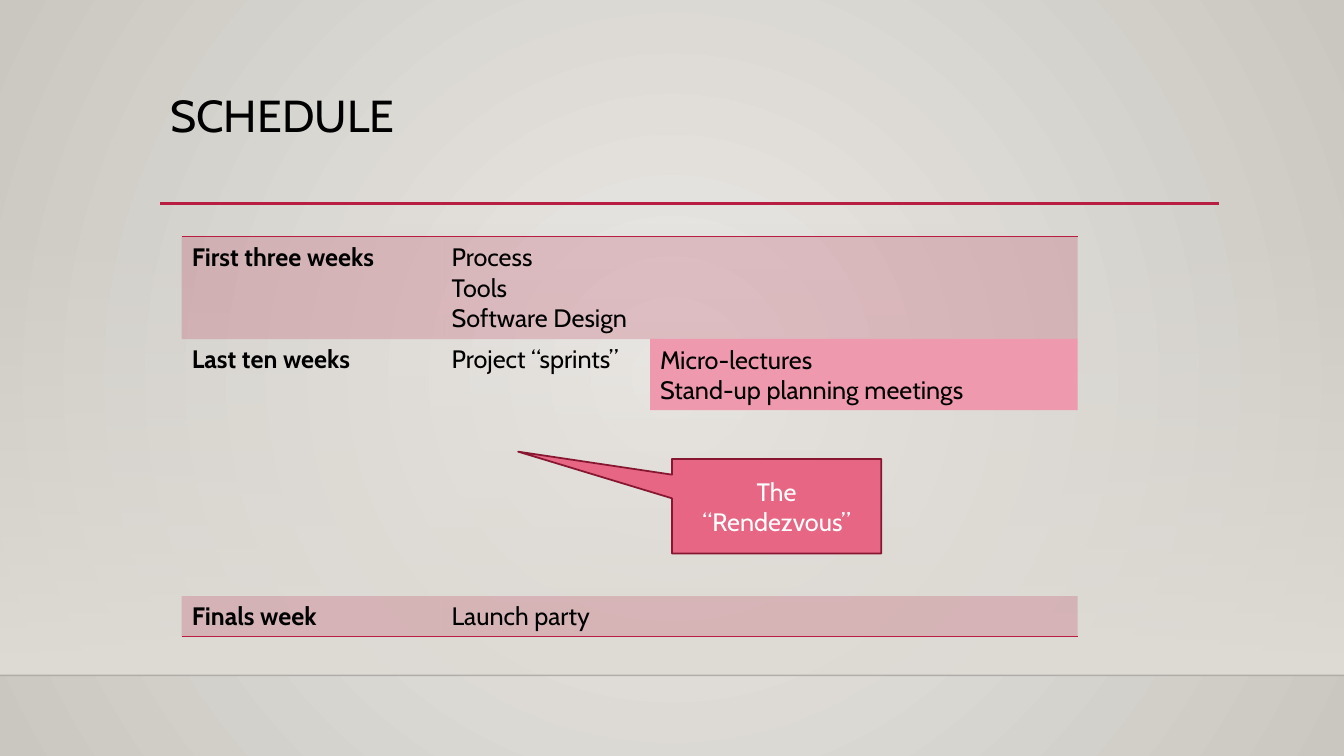
from dataclasses import dataclass

from lxml.etree import SubElement
from pptx import Presentation
from pptx.dml.color import RGBColor
from pptx.enum.shapes import MSO_CONNECTOR as Connector, MSO_SHAPE as Shape
from pptx.enum.text import MSO_ANCHOR as Anchor, PP_ALIGN as Align
from pptx.oxml.ns import qn
from pptx.util import Pt

# Content
TITLE = "SCHEDULE"
SCHEDULE = [
    # period, activities, row height, shaded
    ("First three weeks", "Process\nTools\nSoftware Design", 73, True),
    ("Last ten weeks", "Project “sprints”", 183.6, False),
    ("Finals week", "Launch party", 29, True),
]
MEETINGS = "Micro-lectures\nStand-up planning meetings"
CALLOUT = "The “Rendezvous”"

# Layout, in points
WIDTH, HEIGHT = 960, 540
FLOOR_TOP, FLOOR_LINE = 159, 482.4
TITLE_BOX = (114.5, 63.4, 756, 82.6)
RULE = (114.5, 145.3, 871, 145.3)
TABLE_LEFT, TABLE_TOP = 129.8, 169.2
COLUMNS = (185.6, 454.4)
MEETINGS_BOX = (464.4, 242.1, 305.4, 50.9)
CALLOUT_BOX = (480, 327.8, 149.5, 67.5)
CALLOUT_TIP = (-1.235, -0.577)
NO_TABLE_STYLE = "{2D5ABB26-0587-4C30-8999-92F81FD0307C}"


@dataclass(frozen=True)
class Theme:
    font: str = "Cabin"
    title_size: int = 32
    body_size: int = 18
    text: str = "000000"
    light_text: str = "FFFFFF"
    accent: str = "B71E42"
    callout: str = "E66684"
    callout_line: str = "871631"
    meetings: str = "EE99AD"
    center: str = "ECEAE7"
    edge: str = "CAC7C1"
    wall: str = "DFDBD5"
    floor_line: str = "000001"


THEME = Theme()


def points(values):
    return [Pt(value) for value in values]


def set_alpha(parent, percent):
    color = next(parent.iter(qn("a:srgbClr")))
    SubElement(color, qn("a:alpha"), val=str(percent * 1000))


def set_gradient(fill, *colors):
    fill.gradient()
    for stop, color in zip(fill.gradient_stops, colors):
        stop.color.rgb = RGBColor.from_string(color)


def write(text_frame, text, size=THEME.body_size, color=THEME.text, bold=False):
    text_frame.word_wrap = True
    text_frame.text = text
    for paragraph in text_frame.paragraphs:
        for run in paragraph.runs:
            run.font.name = THEME.font
            run.font.size = Pt(size)
            run.font.bold = bold
            run.font.color.rgb = RGBColor.from_string(color)


def add_line(slide, ends, color, width):
    line = slide.shapes.add_connector(Connector.STRAIGHT, *points(ends))
    line.line.color.rgb = RGBColor.from_string(color)
    line.line.width = Pt(width)
    SubElement(line._element.spPr, qn("a:effectLst"))
    return line


def add_box(slide, kind, box, color, line_color=None):
    shape = slide.shapes.add_shape(kind, *points(box))
    shape.shadow.inherit = False
    shape.fill.solid()
    shape.fill.fore_color.rgb = RGBColor.from_string(color)
    if line_color:
        shape.line.color.rgb = RGBColor.from_string(line_color)
        shape.line.width = Pt(1.25)
    else:
        shape.line.fill.background()
    return shape


def add_cell_border(cell, side):
    properties = cell._tc.get_or_add_tcPr()
    border = SubElement(properties, qn(f"a:{side}"), w=str(Pt(1)))
    SubElement(SubElement(border, qn("a:solidFill")), qn("a:srgbClr"), val=THEME.accent)
    properties.insert(0, border)


def add_background(slide):
    # Radial backdrop
    set_gradient(slide.background.fill, THEME.center, THEME.edge)
    gradient = next(slide.element.iter(qn("a:gradFill")))
    gradient.remove(gradient.find(qn("a:lin")))
    radial = SubElement(gradient, qn("a:path"), path="circle")
    SubElement(radial, qn("a:fillToRect"), l="50000", t="50000", r="50000", b="50000")

    # Wall fading in towards the floor
    wall_box = (0, FLOOR_TOP, WIDTH, FLOOR_LINE - FLOOR_TOP)
    wall = add_box(slide, Shape.RECTANGLE, wall_box, THEME.wall)
    set_gradient(wall.fill, THEME.wall, THEME.wall)
    wall.fill.gradient_angle = 270
    set_alpha(wall._element.spPr, 0)
    floor = add_line(slide, (0, FLOOR_LINE, WIDTH, FLOOR_LINE), THEME.floor_line, 1)
    set_alpha(floor._element.spPr, 20)


def add_schedule(slide):
    heights = [row[2] for row in SCHEDULE]
    frame = slide.shapes.add_table(
        len(SCHEDULE), len(COLUMNS),
        *points((TABLE_LEFT, TABLE_TOP, sum(COLUMNS), sum(heights))))
    table = frame.table
    table.first_row = table.horz_banding = False
    table._tbl.tblPr.find(qn("a:tableStyleId")).text = NO_TABLE_STYLE
    for column, width in zip(table.columns, COLUMNS):
        column.width = Pt(width)
    for row, (period, activities, height, shaded) in zip(table.rows, SCHEDULE):
        row.height = Pt(height)
        for index, text in enumerate((period, activities)):
            cell = row.cells[index]
            write(cell.text_frame, text, bold=index == 0)
            if shaded:
                cell.fill.solid()
                cell.fill.fore_color.rgb = RGBColor.from_string(THEME.accent)
                set_alpha(cell._tc.tcPr, 20)
            else:
                cell.fill.background()
    for index in range(len(COLUMNS)):
        add_cell_border(table.cell(0, index), "lnT")
        add_cell_border(table.cell(len(SCHEDULE) - 1, index), "lnB")


def main():
    presentation = Presentation()
    presentation.slide_width, presentation.slide_height = Pt(WIDTH), Pt(HEIGHT)
    slide = presentation.slides.add_slide(presentation.slide_layouts[6])
    add_background(slide)

    # Title and rule
    add_line(slide, RULE, THEME.accent, 2.5)
    title = slide.shapes.add_textbox(*points(TITLE_BOX))
    write(title.text_frame, TITLE, THEME.title_size)
    title.text_frame.paragraphs[0].line_spacing = 0.9

    add_schedule(slide)

    # Callout
    callout = add_box(slide, Shape.RECTANGULAR_CALLOUT, CALLOUT_BOX,
                      THEME.callout, THEME.callout_line)
    for index, offset in enumerate(CALLOUT_TIP):
        callout.adjustments[index] = offset
    write(callout.text_frame, CALLOUT, color=THEME.light_text)
    callout.text_frame.vertical_anchor = Anchor.MIDDLE
    callout.text_frame.paragraphs[0].alignment = Align.CENTER

    # Meetings beside the sprints
    meetings = add_box(slide, Shape.RECTANGLE, MEETINGS_BOX, THEME.meetings)
    write(meetings.text_frame, MEETINGS)
    meetings.text_frame.vertical_anchor = Anchor.TOP
    for paragraph in meetings.text_frame.paragraphs:
        paragraph.alignment = Align.LEFT

    presentation.save("out.pptx")


if __name__ == "__main__":
    main()
